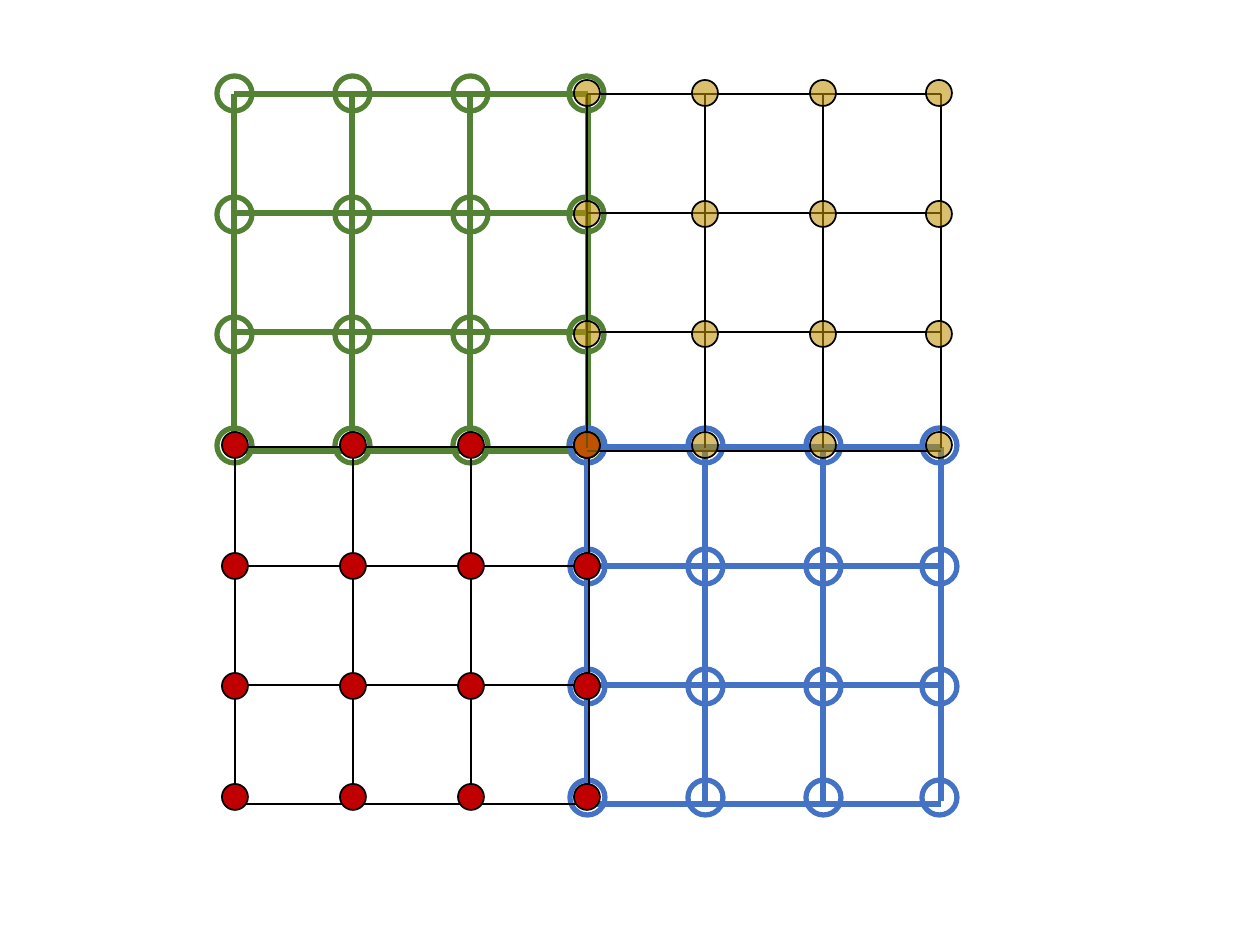
from dataclasses import dataclass
from itertools import product

import lxml.etree
import pptx
import pptx.dml.color
import pptx.enum.shapes
import pptx.oxml.ns
import pptx.util

EMU_PER_PIXEL = 914400 / 126
COLUMN_STEP = 118
ROW_STEP = 119
GRID_LENGTH = 354
NODE_COLUMNS = (0, 118, 236, 352)
NODE_ROWS = (0, 121, 241, 352)


@dataclass(frozen=True)
class Theme:
    green: str = "548235"
    blue: str = "4472C4"
    red: str = "C00000"
    gold: str = "BF9000"
    black: str = "000000"
    bold_line: float = 3
    thin_line: float = 1
    gold_opacity: int = 57


@dataclass(frozen=True)
class Lattice:
    grid_left: int
    grid_top: int
    node_left: int
    node_top: int
    diameter: int
    stroke: str
    weight: float
    fill: str | None = None
    opacity: int = 100


THEME = Theme()
LATTICES = (
    Lattice(234, 94, 234, 93, 35, THEME.green, THEME.bold_line),
    Lattice(587, 447, 587, 445, 35, THEME.blue, THEME.bold_line),
    Lattice(235, 447, 235, 445, 26, THEME.black, THEME.thin_line, THEME.red),
    Lattice(587, 94, 587, 93, 26, THEME.black, THEME.thin_line,
            THEME.gold, THEME.gold_opacity),
)


def px(pixels: int) -> int:
    return round(pixels * EMU_PER_PIXEL)


def rgb(value: str) -> pptx.dml.color.RGBColor:
    return pptx.dml.color.RGBColor.from_string(value)


def apply_format(target, values: dict) -> None:
    for attribute, value in values.items():
        setattr(target, attribute, value)


def format_stroke(line, lattice: Lattice) -> None:
    line.fill.solid()
    apply_format(line.color, {"rgb": rgb(lattice.stroke)})
    apply_format(line, {"width": pptx.util.Pt(lattice.weight)})


def draw_edge(shapes, lattice: Lattice, start: tuple[int, int], end: tuple[int, int]) -> None:
    edge = shapes.add_connector(
        pptx.enum.shapes.MSO_CONNECTOR.STRAIGHT, *map(px, start + end))
    format_stroke(edge.line, lattice)
    lxml.etree.SubElement(edge._element.spPr, pptx.oxml.ns.qn("a:effectLst"))


def draw_node(shapes, lattice: Lattice, center_x: int, center_y: int) -> None:
    radius = lattice.diameter // 2
    node = shapes.add_shape(
        pptx.enum.shapes.MSO_SHAPE.OVAL, px(center_x - radius), px(center_y - radius),
        px(lattice.diameter), px(lattice.diameter))
    apply_format(node.shadow, {"inherit": False})
    format_stroke(node.line, lattice)
    if lattice.fill is None:
        node.fill.background()
        return
    node.fill.solid()
    apply_format(node.fill.fore_color, {"rgb": rgb(lattice.fill)})
    if lattice.opacity < 100:
        color = node._element.spPr.find(
            f"{pptx.oxml.ns.qn('a:solidFill')}/{pptx.oxml.ns.qn('a:srgbClr')}")
        alpha = lxml.etree.SubElement(color, pptx.oxml.ns.qn("a:alpha"))
        alpha.set("val", str(lattice.opacity * 1000))


def draw_lattice(slide, lattice: Lattice) -> None:
    shapes = slide.shapes.add_group_shape().shapes
    left, top = lattice.grid_left, lattice.grid_top
    right, bottom = left + GRID_LENGTH, top + GRID_LENGTH
    for index in range(4):
        x = left + index * COLUMN_STEP
        draw_edge(shapes, lattice, (x, top), (x, bottom))
    for index in range(4):
        y = top + index * ROW_STEP
        draw_edge(shapes, lattice, (right, y), (left, y))
    for row, column in product(NODE_ROWS, NODE_COLUMNS):
        draw_node(shapes, lattice, lattice.node_left + column, lattice.node_top + row)


def build() -> None:
    presentation = pptx.Presentation()
    apply_format(presentation, {"slide_width": pptx.util.Inches(10),
                                "slide_height": pptx.util.Inches(7.5)})
    slide = presentation.slides.add_slide(presentation.slide_layouts[6])
    for lattice in LATTICES:
        draw_lattice(slide, lattice)
    presentation.save("out.pptx")


build()
